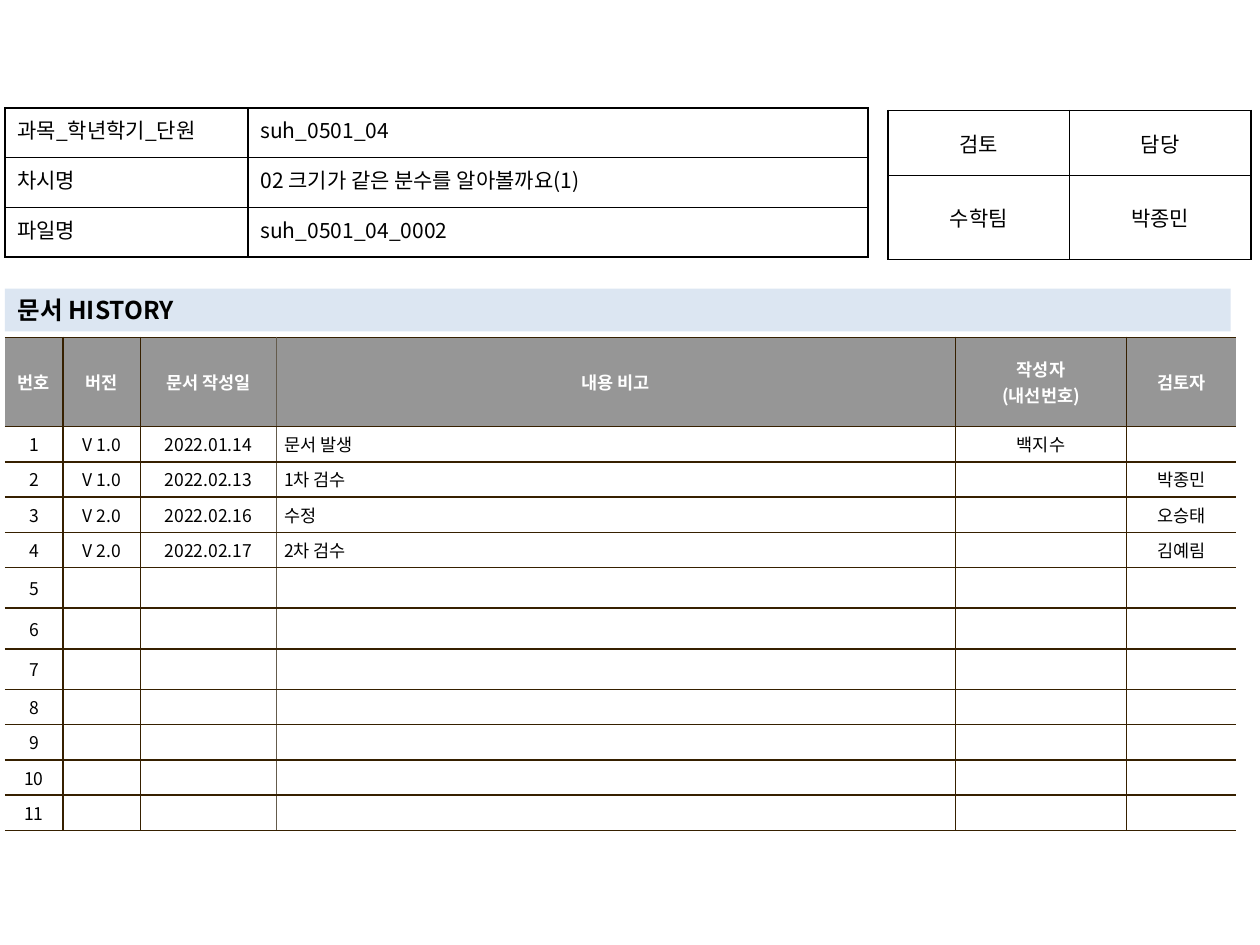
from lxml import etree
from pptx import Presentation
from pptx.dml.color import RGBColor
from pptx.enum.text import MSO_ANCHOR, MSO_AUTO_SIZE, PP_ALIGN
from pptx.oxml.ns import qn
from pptx.util import Cm, Pt

LEFT, CENTER, JUSTIFY = PP_ALIGN.LEFT, PP_ALIGN.CENTER, PP_ALIGN.JUSTIFY
TOP, MIDDLE = MSO_ANCHOR.TOP, MSO_ANCHOR.MIDDLE
NO_AUTOFIT = MSO_AUTO_SIZE.NONE
TITLE_ONLY = 5

BLACK, WHITE, GRAY, PALE_BLUE = "000000", "FFFFFF", "969696", "DCE6F2"
BROWN, TAUPE = "362000", "645B4C"


def color(value):
    return RGBColor.from_string(value)


class HistoryPage:
    font_name = "Noto Sans CJK KR"

    def __init__(self, deck):
        self.slide = deck.slides.add_slide(deck.slide_layouts[TITLE_ONLY])

    def set_text(self, frame, text, size, ink=BLACK, bold=False, align=LEFT):
        frame.text = text
        for paragraph in frame.paragraphs:
            paragraph.alignment = align
            for run in paragraph.runs:
                run.font.name = self.font_name
                run.font.size = Pt(size)
                run.font.bold = bold
                run.font.color.rgb = color(ink)
                east_asian = etree.SubElement(run.font._element, qn("a:ea"))
                east_asian.set("typeface", self.font_name)
            if not text:  # keeps an empty cell as low as its row
                end = etree.SubElement(paragraph._p, qn("a:endParaRPr"))
                end.set("sz", str(size * 100))

    def heading(self, text, left, top, width, height):
        title = self.slide.shapes.title
        title.left, title.top = Cm(left), Cm(top)
        title.width, title.height = Cm(width), Cm(height)
        title.fill.solid()
        title.fill.fore_color.rgb = color(PALE_BLUE)
        frame = title.text_frame
        frame.auto_size = NO_AUTOFIT
        frame.word_wrap = True
        frame.vertical_anchor = MIDDLE
        self.set_text(frame, text, 14, bold=True)

    def table(self, left, top, widths, heights):
        grid = self.slide.shapes.add_table(
            len(heights), len(widths), Cm(left), Cm(top),
            Cm(sum(widths)), Cm(sum(heights))).table
        grid.first_row = grid.horz_banding = False
        for column, width in zip(grid.columns, widths):
            column.width = Cm(width)
        for row, height in zip(grid.rows, heights):
            row.height = Cm(height)
        return grid

    def cell(self, cell, text, size, borders, margins, anchor, fill=None, **style):
        cell.margin_left = cell.margin_right = Cm(margins[0])
        cell.margin_top = cell.margin_bottom = Cm(margins[1])
        cell.vertical_anchor = anchor
        self.borders(cell, borders)
        if fill:
            cell.fill.solid()
            cell.fill.fore_color.rgb = color(fill)
        else:
            cell.fill.background()
        self.set_text(cell.text_frame, text, size, **style)

    def borders(self, cell, colors):
        """Draw left, right, top and bottom borders; None means no line."""
        properties = cell._tc.get_or_add_tcPr()
        for side, value in zip("LRTB", colors):
            line = etree.SubElement(properties, qn(f"a:ln{side}"), w=str(Pt(1)))
            if value:
                solid = etree.SubElement(line, qn("a:solidFill"))
                etree.SubElement(solid, qn("a:srgbClr"), val=value)
            else:
                etree.SubElement(line, qn("a:noFill"))

    def form(self, rows, left, top, widths, heights, aligns, anchor):
        grid = self.table(left, top, widths, heights)
        for r, row in enumerate(rows):
            for c, text in enumerate(row):
                self.cell(grid.cell(r, c), text, 12, [BLACK] * 4, (0.25, 0.13),
                          anchor, align=aligns[c])

    def history(self, header, entries, left, top, widths, heights):
        grid = self.table(left, top, widths, heights)
        # Vertical rules from left edge to right edge; the sides are open
        rules = [None, BROWN, BROWN, TAUPE, BROWN, BROWN, None]
        for r, row in enumerate([header] + entries):
            for c, text in enumerate(row):
                if r == 0:
                    style = dict(fill=GRAY, ink=WHITE, bold=True, align=CENTER)
                else:
                    style = dict(fill=WHITE, align=LEFT if c == 3 else CENTER)
                self.cell(grid.cell(r, c), text, 10,
                          [rules[c], rules[c + 1], BROWN, BROWN],
                          (0.16, 0.1), MIDDLE, **style)


def main():
    deck = Presentation()
    deck.slide_width, deck.slide_height = Cm(25.4), Cm(19.05)
    page = HistoryPage(deck)

    # Document history
    header = ["번호", "버전", "문서 작성일", "내용 비고", "작성자\n(내선번호)", "검토자"]
    revisions = [
        ["V 1.0", "2022.01.14", "문서 발생", "백지수", ""],
        ["V 1.0", "2022.02.13", "1차 검수", "", "박종민"],
        ["V 2.0", "2022.02.16", "수정", "", "오승태"],
        ["V 2.0", "2022.02.17", "2차 검수", "", "김예림"],
    ]
    revisions += [[""] * 5] * 7
    entries = [[str(n), *revision] for n, revision in enumerate(revisions, 1)]
    page.history(header, entries, 0.1, 6.8,
                 [1.17, 1.56, 2.74, 13.69, 3.45, 2.21],
                 [1.8] + [0.71] * 4 + [0.82] * 3 + [0.71] * 4)

    # Approval box
    page.form([["검토", "담당"], ["수학팀", "박종민"]], 17.9, 2.23,
              [3.66, 3.66], [1.31, 1.69], [CENTER, CENTER], MIDDLE)

    # Section heading
    page.heading("문서 HISTORY", 0.1, 5.82, 24.71, 0.86)

    # Lesson details
    lesson = [
        ["과목_학년학기_단원", "suh_0501_04"],
        ["차시명", "02 크기가 같은 분수를 알아볼까요(1)"],
        ["파일명", "suh_0501_04_0002"],
    ]
    page.form(lesson, 0.1, 2.18, [4.9, 12.5], [1] * 3, [JUSTIFY, LEFT], TOP)

    deck.save("out.pptx")


if __name__ == "__main__":
    main()
